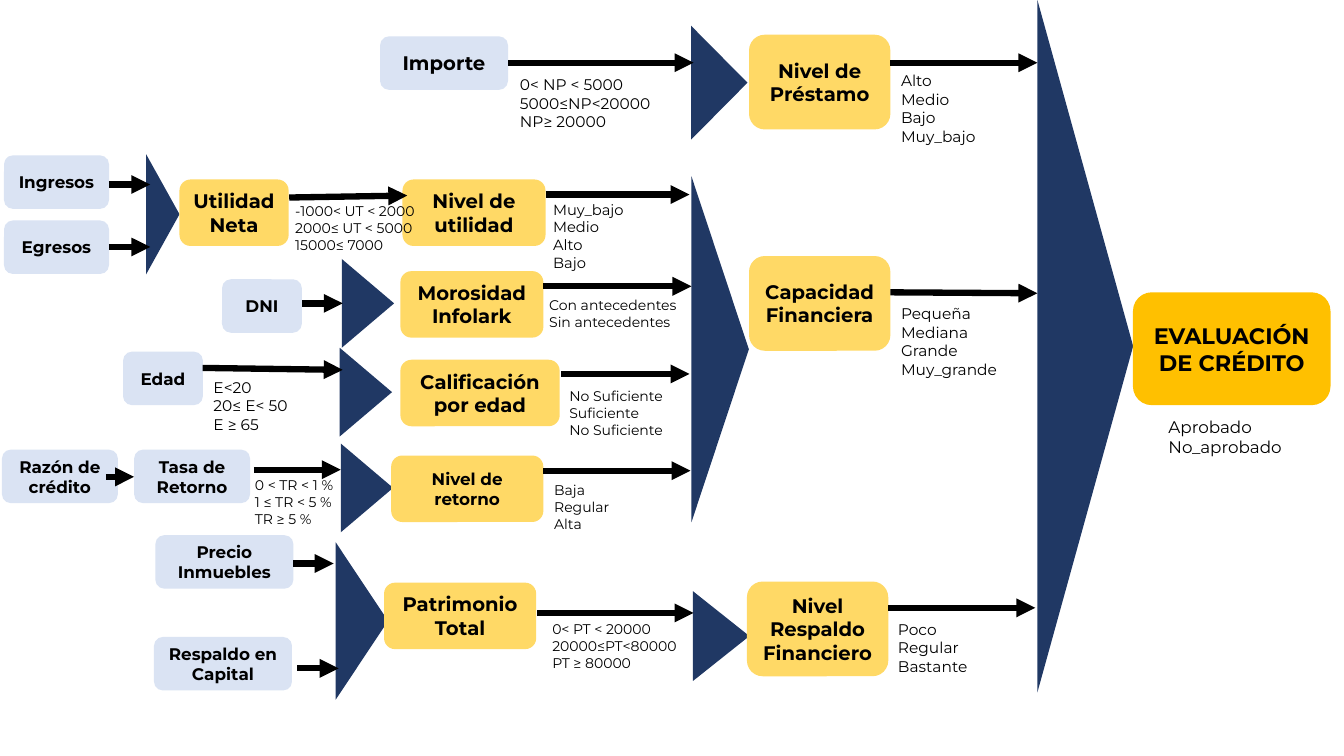
"""Builds the credit evaluation diagram: inputs, derived levels and the final decision."""
from typing import NamedTuple

from lxml import etree
from pptx import Presentation
from pptx import util as u
from pptx.dml.color import RGBColor
from pptx.enum import shapes, text
from pptx.oxml import ns

COLORS = {"input": "DAE3F3", "level": "FFD966", "goal": "FFC000", "rule": "203864", "ink": "000000"}
FONT = "Montserrat"


class Node(NamedTuple):
    label: str
    kind: str
    left: float
    top: float
    width: float
    height: float
    size: float = 14


class Rule(NamedTuple):
    left: float
    top: float
    width: float
    height: float


class Arrow(NamedTuple):
    x1: float
    y1: float
    x2: float
    y2: float


class Note(NamedTuple):
    lines: tuple[str, ...]
    left: float
    top: float
    width: float
    height: float
    size: float = 10


INPUT_H, LEVEL_H, MAIN_W, MAIN_H = 38.2, 47.5, 101, 67.7

NODES = [
    Node("Importe", "input", 271.5, 26, 91.4, INPUT_H),
    Node("Ingresos", "input", 2.9, 111, 75, INPUT_H, 12),
    Node("Egresos", "input", 2.9, 157.5, 75, INPUT_H, 12),
    Node("DNI", "input", 158.6, 199.5, 57, INPUT_H, 12),
    Node("Edad", "input", 87.9, 251.2, 57, INPUT_H, 12),
    Node("Razón de crédito", "input", 1.4, 321.2, 82.8, INPUT_H, 12),
    Node("Tasa de Retorno", "input", 95.8, 321.2, 82.8, INPUT_H, 12),
    Node("Precio Inmuebles", "input", 111, 382.3, 98.6, INPUT_H, 12),
    Node("Respaldo en Capital", "input", 110, 455, 98.6, INPUT_H, 12),
    Node("Utilidad Neta", "level", 128.2, 128.2, 78, LEVEL_H),
    Node("Nivel de utilidad", "level", 287.5, 128.2, 102.2, LEVEL_H),
    Node("Morosidad Infolark", "level", 286, 193.7, 102.2, LEVEL_H),
    Node("Calificación por edad", "level", 286, 257, 113.8, LEVEL_H),
    Node("Nivel de retorno", "level", 279.4, 325.4, 108.7, LEVEL_H, 12),
    Node("Patrimonio Total", "level", 274.3, 416.2, 108.7, LEVEL_H),
    Node("Nivel de Préstamo", "level", 535, 24.8, MAIN_W, MAIN_H),
    Node("Capacidad Financiera", "level", 535, 182.9, MAIN_W, MAIN_H),
    Node("Nivel Respaldo Financiero", "level", 533.5, 415.4, MAIN_W, MAIN_H),
    Node("EVALUACIÓN DE CRÉDITO", "goal", 809.3, 208.8, 141.1, 80.6, 16),
]

RULES = [
    Rule(741, 0, 68.4, 494.6),
    Rule(493.6, 18.4, 40.3, 81.4),
    Rule(493.9, 126, 41, 247),
    Rule(104.4, 110.2, 23.8, 85.7),
    Rule(244.1, 185, 37.4, 63.4),
    Rule(242.6, 248.4, 37.4, 63.4),
    Rule(243.4, 316.8, 37.4, 63.4),
    Rule(495, 422.3, 40.3, 64.1),
    Rule(239.8, 387.4, 37.4, 112.3),
]

ARROWS = [
    Arrow(363, 44.8, 495.4, 44.8),
    Arrow(636, 44.8, 741, 44.8),
    Arrow(636, 208.8, 741, 209.5),
    Arrow(634.5, 434.2, 739.5, 434.2),
    Arrow(77.8, 131.8, 107.3, 131.8),
    Arrow(77.8, 176.4, 107.3, 176.4),
    Arrow(206.6, 141.1, 290.9, 139.7),
    Arrow(390, 139, 492.5, 139),
    Arrow(216, 216.7, 244.8, 216.7),
    Arrow(388, 204.5, 493.9, 204.5),
    Arrow(144.7, 262.8, 244.8, 264.2),
    Arrow(401, 267.1, 492.5, 267.1),
    Arrow(75.6, 340.6, 95.8, 340.6),
    Arrow(181.4, 335.5, 243.4, 335.5),
    Arrow(388, 336.2, 493.2, 336.2),
    Arrow(209.5, 402.5, 238.3, 402.5),
    Arrow(212.4, 477.4, 241.9, 477.4),
    Arrow(383.8, 437.8, 495.4, 437.8),
]

NOTES = [
    Note(("0< NP < 5000", "5000≤NP<20000", "NP≥ 20000"), 364.3, 50.4, 141, 47.5, 11),
    Note(("Alto", "Medio", "Bajo", "Muy_bajo"), 636.5, 47.5, 77.8, 60.5, 11),
    Note(("Pequeña", "Mediana", "Grande", "Muy_grande"), 636.5, 213.8, 94.3, 60.5, 11),
    Note(("Poco", "Regular", "Bastante"), 634.3, 439.2, 77.8, 47.5, 11),
    Note(("-1000< UT < 2000", "2000≤ UT < 5000", "15000≤ 7000"), 203.8, 141.1, 125.3, 44),
    Note(("Muy_bajo", "Medio", "Alto", "Bajo"), 388.1, 139.7, 74.9, 58.3, 10.5),
    Note(("Con antecedentes", "Sin antecedentes"), 385.2, 208.1, 113.8, 31.7),
    Note(("E<20", "20≤ E< 50", "E ≥ 65"), 145.4, 266.4, 75.6, 47.5, 11),
    Note(("No Suficiente", "Suficiente", "No Suficiente"), 399.6, 273.6, 113.8, 55.4),
    Note(("0 < TR < 1 %", "1 ≤ TR < 5 %", "TR ≥ 5 %"), 175, 337, 91.4, 44),
    Note(("Baja", "Regular", "Alta"), 388.8, 340.6, 113.8, 44),
    Note(("0< PT < 20000", "20000≤PT<80000", "PT ≥ 80000"), 387.4, 440, 117.4, 44),
    Note(("Aprobado", "No_aprobado"), 827.5, 294, 130, 36.5, 12),
]


def color(name: str) -> RGBColor:
    return RGBColor.from_string(COLORS[name])


def write(para, words: str, size: float, bold: bool = False) -> None:
    span = para.add_run()
    span.text = words
    span.font.name = FONT
    span.font.size = u.Pt(size)
    span.font.bold = bold
    span.font.color.rgb = color("ink")


def add_solid(page, preset, left: float, top: float, width: float, height: float, fill: str):
    box = page.shapes.add_shape(preset, u.Pt(left), u.Pt(top), u.Pt(width), u.Pt(height))
    box.shadow.inherit = False
    box.fill.solid()
    box.fill.fore_color.rgb = color(fill)
    box.line.fill.background()
    return box


def draw_rule(page, rule: Rule) -> None:
    shift = (rule.width - rule.height) / 2
    box = add_solid(page, shapes.MSO_SHAPE.ISOSCELES_TRIANGLE, rule.left + shift,
                    rule.top - shift, rule.height, rule.width, "rule")
    box.rotation = 90


def draw_node(page, node: Node) -> None:
    box = add_solid(page, shapes.MSO_SHAPE.ROUNDED_RECTANGLE, node.left, node.top,
                    node.width, node.height, node.kind)
    frame = box.text_frame
    frame.word_wrap = True
    frame.vertical_anchor = text.MSO_ANCHOR.MIDDLE
    para = frame.paragraphs[0]
    para.alignment = text.PP_ALIGN.CENTER
    write(para, node.label, node.size, bold=True)


def draw_arrow(page, arrow: Arrow) -> None:
    link = page.shapes.add_connector(shapes.MSO_CONNECTOR.STRAIGHT, *map(u.Pt, arrow))
    link.line.color.rgb = color("ink")
    link.line.width = u.Pt(4.5)
    etree.SubElement(link.line._get_or_add_ln(), ns.qn("a:tailEnd"), type="triangle")
    etree.SubElement(link._element.spPr, ns.qn("a:effectLst"))


def draw_note(page, note: Note) -> None:
    box = page.shapes.add_textbox(u.Pt(note.left), u.Pt(note.top), u.Pt(note.width), u.Pt(note.height))
    frame = box.text_frame
    frame.word_wrap = True
    for index, line in enumerate(note.lines):
        para = frame.add_paragraph() if index else frame.paragraphs[0]
        write(para, line, note.size)


def main() -> None:
    deck = Presentation()
    deck.slide_width, deck.slide_height = u.Pt(960), u.Pt(540)
    page = deck.slides.add_slide(deck.slide_layouts[6])
    for draw, items in ((draw_rule, RULES), (draw_node, NODES), (draw_arrow, ARROWS), (draw_note, NOTES)):
        for item in items:
            draw(page, item)
    deck.save("out.pptx")


if __name__ == "__main__":
    main()
